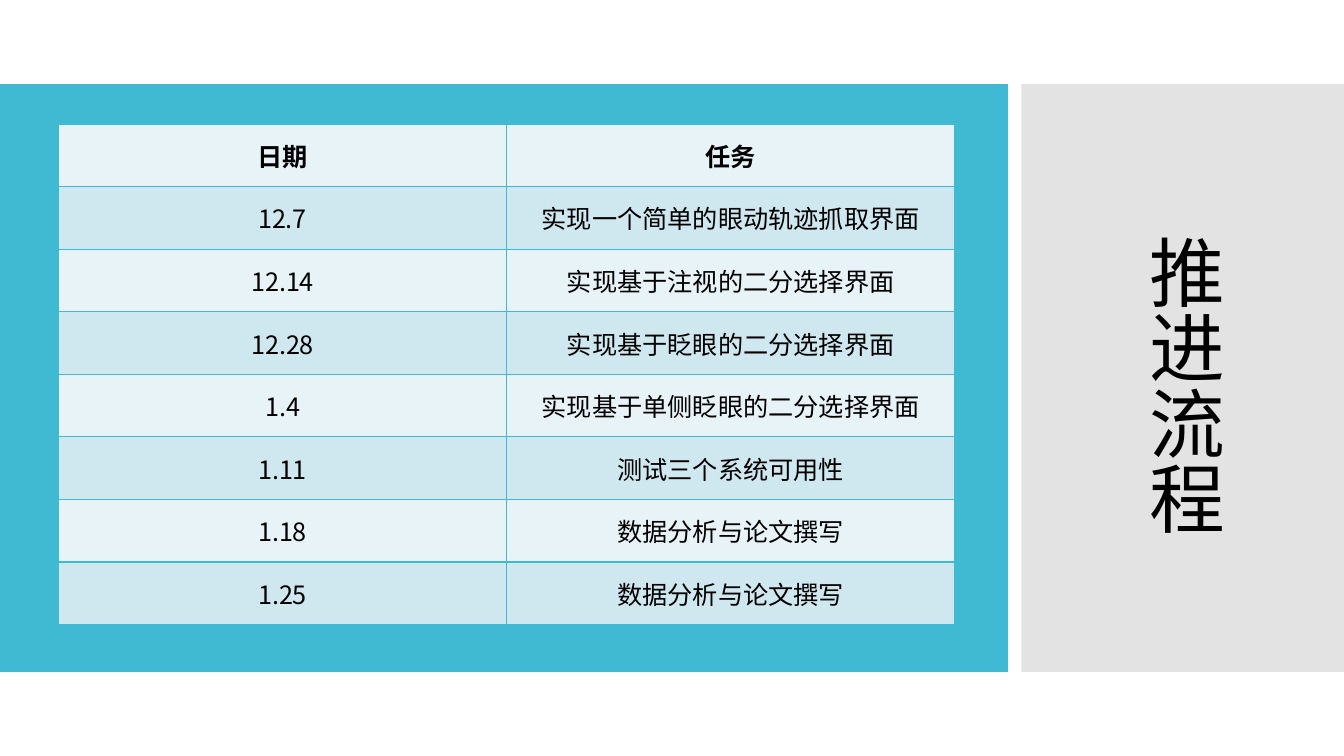
from lxml.etree import SubElement
from pptx import Presentation
from pptx.dml.color import RGBColor
from pptx.enum.shapes import MSO_SHAPE
from pptx.enum.text import MSO_ANCHOR, MSO_AUTO_SIZE, PP_ALIGN
from pptx.oxml.ns import qn
from pptx.util import Inches, Pt

TEAL = RGBColor(0x40, 0xBA, 0xD2)
GREY = RGBColor(0xC8, 0xC8, 0xC8)
BLACK = RGBColor(0, 0, 0)
BANDS = [RGBColor(0xE8, 0xF3, 0xF7), RGBColor(0xCF, 0xE7, 0xEE)]
CJK = "Noto Sans CJK SC"

prs = Presentation()
prs.slide_width, prs.slide_height = Inches(13.33), Inches(7.5)
W, H = prs.slide_width, prs.slide_height
s = prs.slides.add_slide(prs.slide_layouts[6])


def add_text(p, text, size, font, bold=False):
    p.alignment = PP_ALIGN.CENTER
    r = p.add_run()
    r.text = text
    r.font.size, r.font.name, r.font.bold = Pt(size), font, bold
    r.font.color.rgb = BLACK
    SubElement(r.font._element, qn("a:ea"), typeface=CJK)


band_top, band_height = int(H / 9), int(H * 7 / 9)
side_left = int(W * 0.76)
for left, width, color in [(0, int(W * 0.75), TEAL), (side_left, W - side_left, GREY)]:
    sp = s.shapes.add_shape(MSO_SHAPE.RECTANGLE, left, band_top, width, band_height)
    sp.shadow.inherit = False
    sp.fill.solid()
    sp.fill.fore_color.rgb = color
    sp.line.fill.background()
SubElement(sp._element.spPr.find(".//" + qn("a:srgbClr")), qn("a:alpha"), val="50000")

title = s.shapes.add_textbox(Inches(11.14), Inches(2.23), Inches(1.11), Inches(3.13))
tf = title.text_frame
tf.word_wrap = False
tf.auto_size = MSO_AUTO_SIZE.SHAPE_TO_FIT_TEXT
tf._txBody.bodyPr.set("vert", "eaVert")
add_text(tf.paragraphs[0], "推进流程", 54, "Calibri")

rows = [
    ("日期", "任务"),
    ("12.7", "实现一个简单的眼动轨迹抓取界面"),
    ("12.14", "实现基于注视的二分选择界面"),
    ("12.28", "实现基于眨眼的二分选择界面"),
    ("1.4", "实现基于单侧眨眼的二分选择界面"),
    ("1.11", "测试三个系统可用性"),
    ("1.18", "数据分析与论文撰写"),
    ("1.25", "数据分析与论文撰写"),
]
table = s.shapes.add_table(
    len(rows), 2, Inches(0.58), Inches(1.23), Inches(8.89), Inches(4.97)
).table
for i, row in enumerate(rows):
    for j, text in enumerate(row):
        cell = table.cell(i, j)
        cell.vertical_anchor = MSO_ANCHOR.MIDDLE
        tcPr = cell._tc.get_or_add_tcPr()
        for side in ("lnL", "lnR", "lnT", "lnB"):
            ln = SubElement(tcPr, qn("a:" + side), w=str(Pt(1)))
            fill = SubElement(ln, qn("a:solidFill"))
            SubElement(fill, qn("a:srgbClr"), val=str(TEAL))
        cell.fill.solid()
        cell.fill.fore_color.rgb = BANDS[i % 2]
        add_text(cell.text_frame.paragraphs[0], text, 18, CJK, bold=i == 0)

prs.save("out.pptx")
